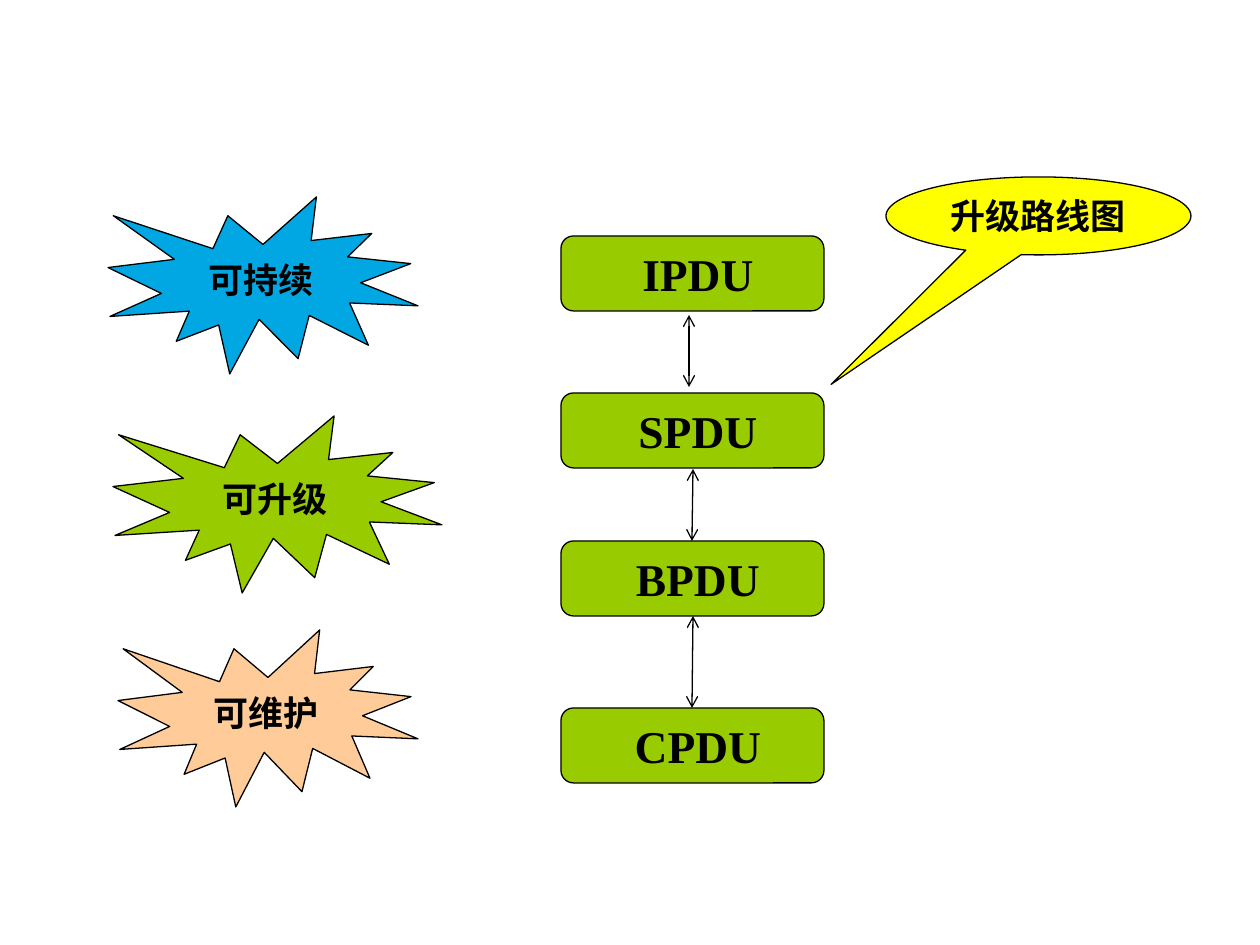
from dataclasses import dataclass

from lxml import etree
from pptx import Presentation
from pptx import util as u
from pptx.dml.color import RGBColor
from pptx.enum import shapes, text
from pptx.oxml.ns import qn

EMU_PER_PX = u.Inches(1) / 126


@dataclass(frozen=True)
class Theme:
    font: str = "Times New Roman"
    ink: str = "000000"
    blue: str = "00A7E2"
    green: str = "99CC00"
    peach: str = "FFCC99"
    yellow: str = "FFFF00"
    label_size: int = 20
    unit_size: int = 26
    outline: float = 0.75


THEME = Theme()


def px(length):
    return round(length * EMU_PER_PX)


def set_attributes(target, values):
    for key, value in values.items():
        setattr(target, key, value)


def draw_outline(line):
    line.color.rgb = RGBColor.from_string(THEME.ink)
    line.width = u.Pt(THEME.outline)


def add_label(parent, preset, box, wording, fill, size, left_inset=13):
    label = parent.add_shape(preset, *map(px, box))
    label.shadow.inherit = False
    label.fill.solid()
    label.fill.fore_color.rgb = RGBColor.from_string(fill)
    draw_outline(label.line)
    frame = label.text_frame
    set_attributes(frame, {
        "word_wrap": True,
        "vertical_anchor": text.MSO_ANCHOR.MIDDLE,
        "margin_left": px(left_inset),
        "margin_right": px(13),
        "margin_top": px(6),
        "margin_bottom": px(6),
    })
    paragraph = frame.paragraphs[0]
    paragraph.alignment = text.PP_ALIGN.CENTER
    run = paragraph.add_run()
    run.text = wording
    set_attributes(run.font, {"name": THEME.font, "size": u.Pt(size), "bold": True})
    run.font.color.rgb = RGBColor.from_string(THEME.ink)
    return label


def add_double_arrow(parent, start, end):
    arrow = parent.add_connector(shapes.MSO_CONNECTOR.STRAIGHT, *map(px, start + end))
    draw_outline(arrow.line)
    properties = arrow.line._get_or_add_ln()
    for tip in ("a:headEnd", "a:tailEnd"):
        etree.SubElement(properties, qn(tip), type="arrow")
    etree.SubElement(arrow._element.spPr, qn("a:effectLst"))


def add_qualities(slide, box):
    left, top = box
    group = slide.shapes.add_group_shape()
    qualities = (
        ("可持续", THEME.blue, 0, 0, 310),
        ("可升级", THEME.green, 5, 219, 329),
        ("可维护", THEME.peach, 10, 433, 300),
    )
    for wording, fill, dx, dy, width in qualities:
        add_label(group.shapes, shapes.MSO_SHAPE.EXPLOSION1,
                  (left + dx, top + dy, width, 177), wording, fill, THEME.label_size)


def add_unit_stack(slide, box):
    left, top, width, height = box
    units = (("IPDU", 0), ("SPDU", 157), ("BPDU", 305), ("CPDU", 472))
    for wording, dy in units:
        add_label(slide.shapes, shapes.MSO_SHAPE.ROUNDED_RECTANGLE,
                  (left, top + dy, width, height), wording, THEME.green,
                  THEME.unit_size, left_inset=24)
    links = ((128, 151, 128, 79), (131, 305, 132, 233), (131, 472, 132, 380))
    for x1, y1, x2, y2 in links:
        add_double_arrow(slide.shapes, (left + x1, top + y1), (left + x2, top + y2))


def add_roadmap_callout(slide, box):
    callout = add_label(slide.shapes, shapes.MSO_SHAPE.OVAL_CALLOUT, box,
                        "升级路线图", THEME.yellow, THEME.label_size)
    for index, offset in enumerate((-0.68, 2.16)):
        callout.adjustments[index] = offset


def main():
    deck = Presentation()
    set_attributes(deck, {"slide_width": px(1260), "slide_height": px(945)})
    slide = deck.slides.add_slide(deck.slide_layouts[6])
    add_qualities(slide, (108, 197))
    add_unit_stack(slide, (561, 236, 263, 75))
    add_roadmap_callout(slide, (886, 177, 305, 78))
    deck.save("out.pptx")


if __name__ == "__main__":
    main()
